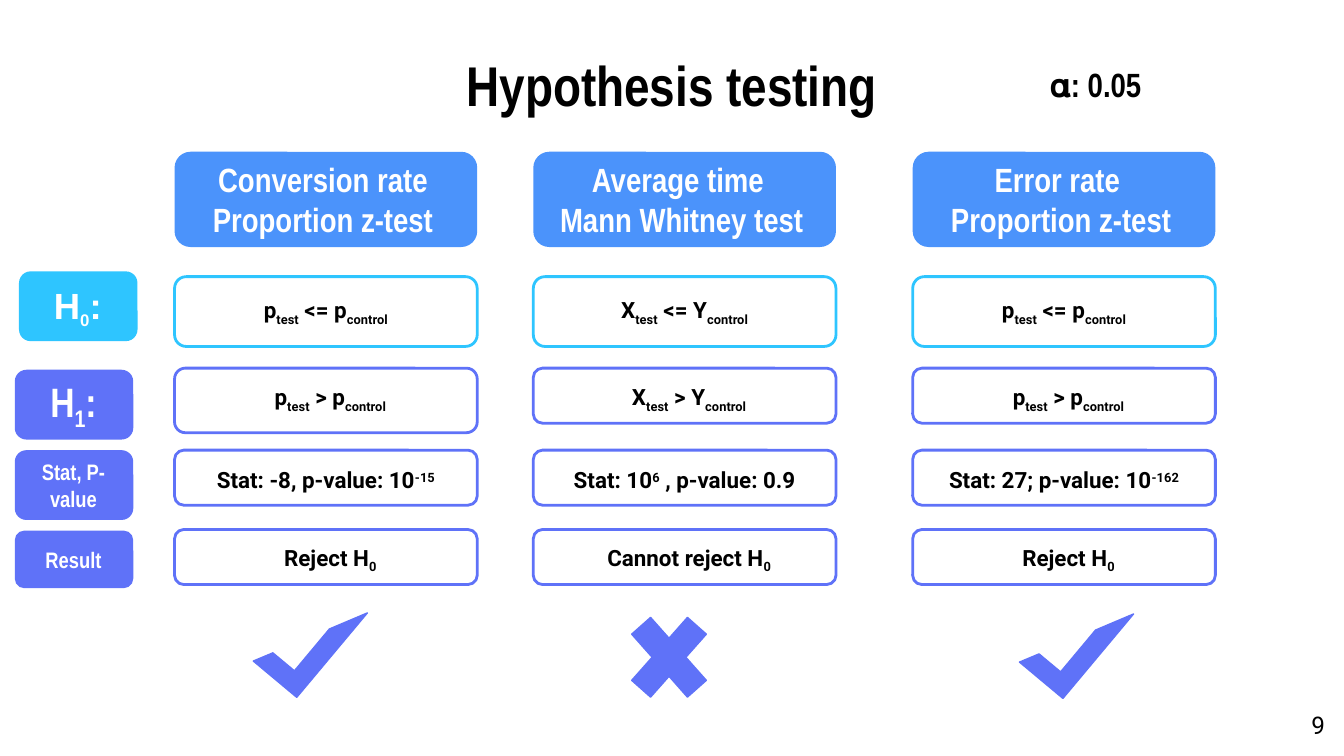
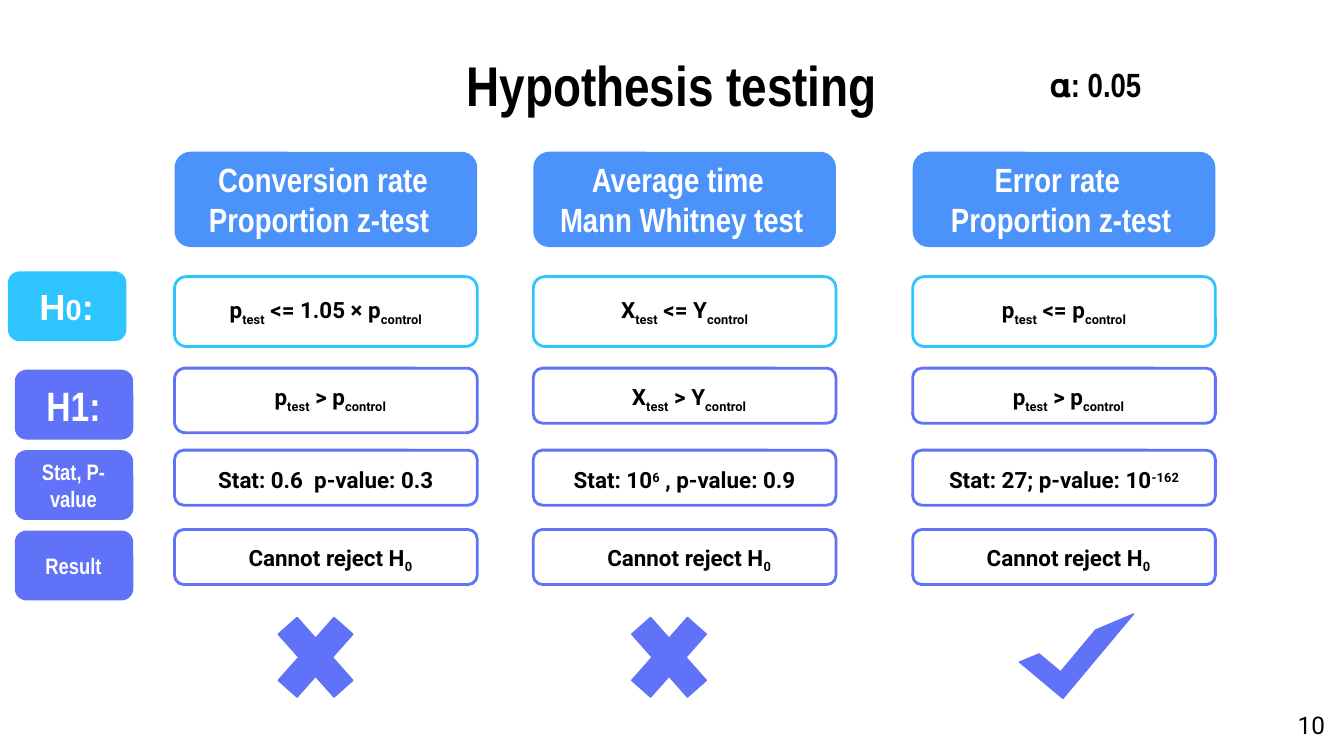
from pptx import Presentation
from pptx.dml.color import RGBColor
from pptx.enum.shapes import MSO_SHAPE
from pptx.enum.text import MSO_ANCHOR, MSO_AUTO_SIZE, PP_ALIGN
from pptx.util import Cm, Pt

BLACK, WHITE = "000000", "FFFFFF"
CYAN, BLUE, VIOLET = "2EC5FF", "4B93FB", "5F72F8"
NARROW, ROBOTO = "Arial Narrow", "Roboto"
BASELINES = {"_": -25000, "^": 30000, "~": 0}

COLUMN_LEFTS = (3.3, 10.08, 17.25)
COLUMN_W = 5.72
ROW_BOXES = ((5.23, 1.32, CYAN), (6.96, 1.04, VIOLET), (8.51, 1.04, VIOLET), (10.01, 1.04, VIOLET))
ROW_TEXTS = ((0.65, 5.44, 4.42, 0.91), (0.66, 6.88, 4.57, 1.32),
             (0, 8.41, COLUMN_W, 1.32), (0.66, 9.91, 4.57, 1.32))

AVERAGE_TIME = ("Average time \nMann Whitney test", "X|_test| <= Y|_control",
                "X|_test| > Y|_control", "Stat: 10|^6| , p-value: 0.9", "Cannot reject H|_0")
ERROR_RATE = ("Error rate \nProportion z-test", "p|_test| <= p|_control",
              "p|_test| > p|_control", "Stat: 27; p-value: 10|^-162")

SLIDES = (
    {"number": "9", "h0": "H|_0|:", "h0_left": 0.36, "h1": "H|_1|:", "result_h": 1.09,
     "columns": (("Conversion rate\nProportion z-test", "p|_test| <= p|_control",
                  "p|_test| > p|_control", "Stat: -8, p-value: 10|^-15", "Reject H|_0"),
                 AVERAGE_TIME, ERROR_RATE + ("Reject H|_0",)),
     "ticks": ((5.33, 11), (19.81, 11.02)), "crosses": (11.63,)},
    {"number": "10", "h0": "H|~0|:", "h0_left": 0.15, "h1": "H1:", "result_h": 1.32,
     "columns": (("Conversion rate\nProportion z-test ", "p|_test| <= 1.05 × p|_control",
                  "p|_test| > p|_control", "Stat: 0.6  p-value: 0.3", "Cannot reject H|_0"),
                 AVERAGE_TIME, ERROR_RATE + ("Cannot reject H|_0",)),
     "ticks": ((19.81, 11.02),), "crosses": (4.95, 11.63)},
)


def rgb(value):
    return RGBColor.from_string(value)


def set_all(target, values):
    for name, value in values.items():
        setattr(target, name, value)


class Deck:
    frame = {"word_wrap": True, "auto_size": MSO_AUTO_SIZE.NONE,
             "margin_left": Cm(0.25), "margin_right": Cm(0.25),
             "margin_top": Cm(0.25), "margin_bottom": Cm(0.25)}

    def __init__(self):
        self.prs = Presentation()
        set_all(self.prs, {"slide_width": Cm(25.4), "slide_height": Cm(14.29)})
        self.s = None

    def add_slide(self, title):
        self.s = self.prs.slides.add_slide(self.prs.slide_layouts[5])
        sp = self.s.shapes.title
        place = {"left": Cm(1.27), "top": Cm(1.14), "width": Cm(22.86), "height": Cm(0.91)}
        set_all(sp, place)
        self.fill_text(sp.text_frame, title, 30, BLACK)

    def fill_text(self, tf, text, size, color, font=NARROW, bold=True, small=None,
                  align=PP_ALIGN.CENTER, anchor=MSO_ANCHOR.MIDDLE):
        set_all(tf, {**self.frame, "vertical_anchor": anchor})
        for i, line in enumerate(text.split("\n")):
            p = tf.add_paragraph() if i else tf.paragraphs[0]
            p.alignment = align
            for part in line.split("|"):
                marked = part[0] in BASELINES
                r = p.add_run()
                r.text = part[1:] if marked else part
                points = small if marked and small else size
                set_all(r.font, {"name": font, "size": Pt(points), "bold": bold})
                r.font.color.rgb = rgb(color)
                if marked:
                    r._r.get_or_add_rPr().set("baseline", str(BASELINES[part[0]]))

    def text(self, x, y, w, h, text, size, color, **style):
        sp = self.s.shapes.add_textbox(Cm(x), Cm(y), Cm(w), Cm(h))
        self.fill_text(sp.text_frame, text, size, color, **style)

    def shape(self, kind, x, y, w, h, fill=None, line=None, weight=0.75, adjust=(), rotation=0):
        sp = self.s.shapes.add_shape(kind, Cm(x), Cm(y), Cm(w), Cm(h))
        sp.shadow.inherit = False
        sp.rotation = rotation
        for i, value in enumerate(adjust):
            sp.adjustments[i] = value
        if fill:
            sp.fill.solid()
            sp.fill.fore_color.rgb = rgb(fill)
        else:
            sp.fill.background()
        if line:
            sp.line.color.rgb = rgb(line)
            sp.line.width = Pt(weight)
        else:
            sp.line.fill.background()

    def box(self, x, y, w, h, **style):
        self.shape(MSO_SHAPE.ROUNDED_RECTANGLE, x, y, w, h, adjust=(0.167,), **style)

    def label(self, x, y, h, text, size, fill=VIOLET, **style):
        self.box(x, y, 2.24, h, fill=fill)
        self.text(x + 0.09, y + 0.2, 2.04, h - 0.4, text, size, WHITE, **style)

    def column(self, x, texts, h1_height):
        heading, *cells = texts
        self.box(x, 2.87, COLUMN_W, 1.8, fill=BLUE)
        self.text(x, 2.87, 5.61, 1.8, heading, 18, WHITE)
        for i, cell in enumerate(cells):
            top, height, color = ROW_BOXES[i]
            dx, text_top, w, h = ROW_TEXTS[i]
            self.box(x, top, COLUMN_W, h1_height if i == 1 else height, line=color, weight=1.5)
            self.text(x + dx, text_top, w, h, cell, 12, BLACK, font=ROBOTO)

    def tick(self, x, y):
        self.shape(MSO_SHAPE.HALF_FRAME, x, y, 1.07, 2.08, fill=VIOLET, line=VIOLET,
                   adjust=(0.333, 0.333), rotation=219.9)

    def cross(self, x):
        self.shape(MSO_SHAPE.MATH_MULTIPLY, x, 11.28, 2.03, 2.29, fill=VIOLET, line=VIOLET,
                   adjust=(0.235,))

    def hypothesis_slide(self, data):
        self.add_slide("Hypothesis testing")
        self.label(data["h0_left"], 5.13, 1.32, data["h0"], 19.5, CYAN, font="Arial", small=15.5)
        self.label(0.28, 6.99, 1.32, data["h1"], 22)
        self.label(0.28, 8.51, 1.32, "Stat, P-value", 12)
        self.label(0.28, 10.03, data["result_h"], "Result", 12)
        for i, (x, texts) in enumerate(zip(COLUMN_LEFTS, data["columns"])):
            self.column(x, texts, 1.04 if i else 1.22)
        for x, y in data["ticks"]:
            self.tick(x, y)
        for x in data["crosses"]:
            self.cross(x)
        self.text(17.53, 1.19, 6.35, 0.81, "𝛂: 0.05", 18, BLACK)
        self.text(23.77, 13.18, 1.52, 1.09, data["number"], 13, BLACK, font=ROBOTO, bold=False,
                  align=PP_ALIGN.RIGHT, anchor=MSO_ANCHOR.TOP)


def main():
    deck = Deck()
    for data in SLIDES:
        deck.hypothesis_slide(data)
    deck.prs.save("out.pptx")


if __name__ == "__main__":
    main()
